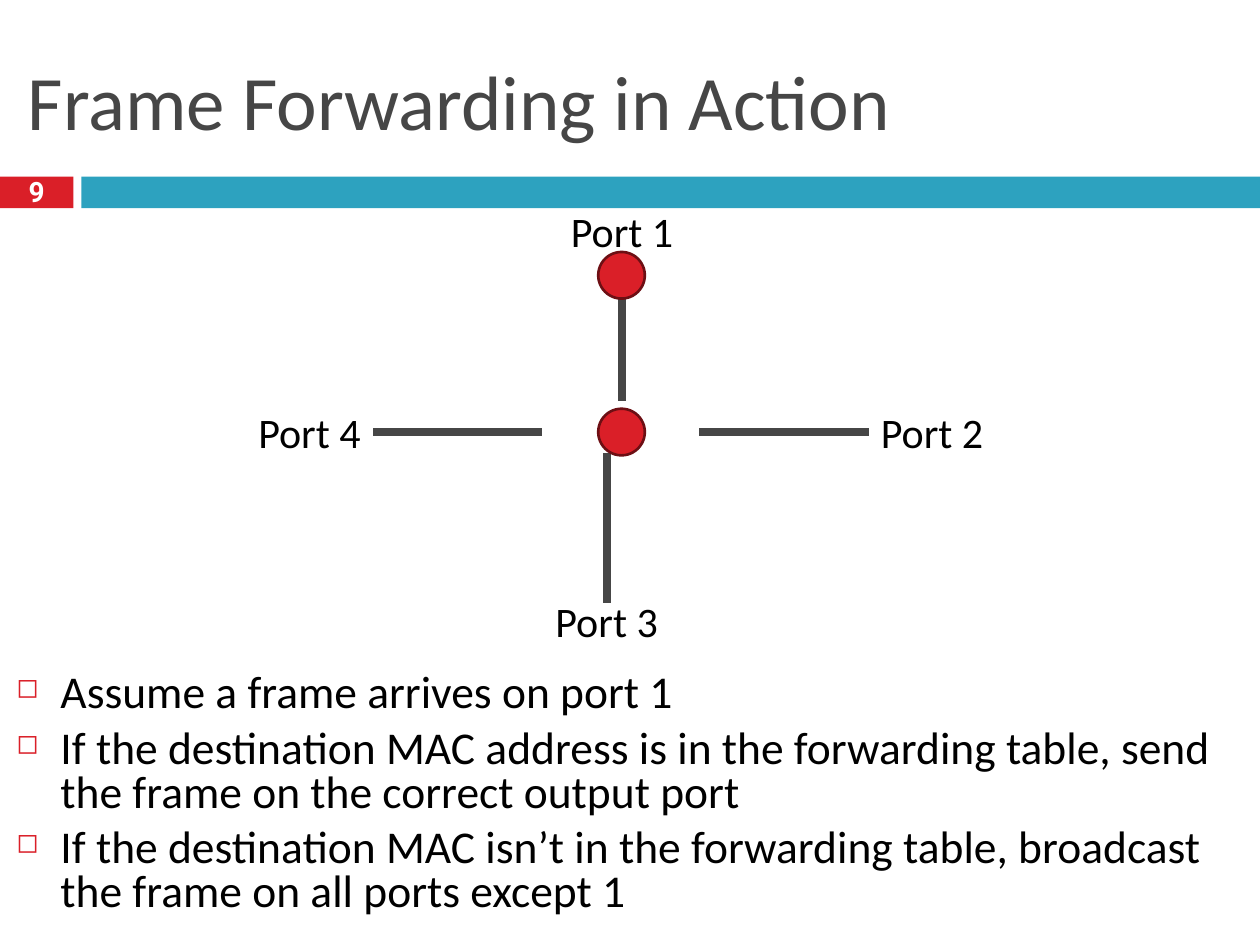
from dataclasses import dataclass

from lxml import etree
from pptx import Presentation
from pptx.dml.color import RGBColor
from pptx.enum.shapes import MSO_CONNECTOR, MSO_SHAPE
from pptx.enum.text import MSO_ANCHOR, MSO_AUTO_SIZE, PP_ALIGN
from pptx.oxml.ns import qn
from pptx.slide import Slide
from pptx.text.text import _Paragraph
from pptx.util import Cm, Pt

STRAIGHT = MSO_CONNECTOR.STRAIGHT
RECTANGLE, OVAL = MSO_SHAPE.RECTANGLE, MSO_SHAPE.OVAL
TOP, MIDDLE = MSO_ANCHOR.TOP, MSO_ANCHOR.MIDDLE
FIXED, GROW = MSO_AUTO_SIZE.NONE, MSO_AUTO_SIZE.SHAPE_TO_FIT_TEXT
LEFT, CENTER = PP_ALIGN.LEFT, PP_ALIGN.CENTER


@dataclass(frozen=True)
class Theme:
    red: str = "DA1F28"
    dark_red: str = "6D0F14"
    teal: str = "2DA2BF"
    gray: str = "464646"
    black: str = "000000"
    white: str = "FFFFFF"
    font: str = "Calibri"
    number_font: str = "Roboto"
    title_size: int = 44
    body_size: int = 26
    label_size: int = 24
    number_size: int = 16
    cable_width: float = 4.5
    outline_width: float = 1.5


@dataclass(frozen=True)
class Box:
    left: float
    top: float
    width: float
    height: float


@dataclass(frozen=True)
class Style:
    size: int
    color: str
    font: str
    bold: bool = False


@dataclass(frozen=True)
class Port:
    name: str
    label_left: float
    label_top: float
    start: tuple[float, float]
    end: tuple[float, float]


THEME = Theme()
TITLE = Style(THEME.title_size, THEME.gray, THEME.font)
BODY = Style(THEME.body_size, THEME.black, THEME.font)
LABEL = Style(THEME.label_size, THEME.black, THEME.font)
NUMBER = Style(THEME.number_size, THEME.white, THEME.number_font, True)

INSET = 0.13
INDENT = 0.89
LABEL_WIDTH, LABEL_HEIGHT = 2.4, 1.22
FRAME_SIZE = 0.94
FRAME_LEFT = 12.06
FRAME_TOPS = (5.08, 8.24)

PORTS = (
    Port("Port 4", 5.04, 8.06, (7.52, 8.71), (10.93, 8.71)),
    Port("Port 3", 11.03, 11.87, (12.24, 12.15), (12.24, 9.14)),
    Port("Port 1", 11.34, 4.01, (12.53, 8.08), (12.53, 5.08)),
    Port("Port 2", 17.59, 8.06, (14.1, 8.71), (17.51, 8.71)),
)
POINTS = (
    "Assume a frame arrives on port 1",
    "If the destination MAC address is in the forwarding table, "
    "send the frame on the correct output port",
    "If the destination MAC isn’t in the forwarding table, "
    "broadcast the frame on all ports except 1",
)


def add_figure(slide: Slide, kind: MSO_SHAPE, box: Box, fill: str, outline: str = "") -> None:
    shape = slide.shapes.add_shape(
        kind, Cm(box.left), Cm(box.top), Cm(box.width), Cm(box.height)
    )
    shape.shadow.inherit = False
    shape.fill.solid()
    shape.fill.fore_color.rgb = RGBColor.from_string(fill)
    if outline:
        shape.line.color.rgb = RGBColor.from_string(outline)
        shape.line.width = Pt(THEME.outline_width)
    else:
        shape.line.fill.background()


def add_cable(slide: Slide, port: Port) -> None:
    cable = slide.shapes.add_connector(
        STRAIGHT, *(Cm(length) for length in port.start + port.end)
    )
    cable.line.color.rgb = RGBColor.from_string(THEME.gray)
    cable.line.width = Pt(THEME.cable_width)
    etree.SubElement(cable._element.spPr, qn("a:effectLst"))


def add_bullet(paragraph: _Paragraph) -> None:
    properties = paragraph._p.get_or_add_pPr()
    properties.set("marL", str(Cm(INDENT)))
    properties.set("indent", str(-Cm(INDENT)))
    color = etree.SubElement(properties, qn("a:buClr"))
    etree.SubElement(color, qn("a:srgbClr"), val=THEME.red)
    etree.SubElement(properties, qn("a:buSzPct"), val="60000")
    etree.SubElement(properties, qn("a:buChar"), char="◻")


def add_text(
    slide: Slide,
    box: Box,
    lines: tuple[str, ...],
    style: Style,
    anchor: MSO_ANCHOR = TOP,
    alignment: PP_ALIGN = LEFT,
    wrap: bool = True,
    fit: MSO_AUTO_SIZE = FIXED,
    spacing: float = 1.0,
    bullets: bool = False,
) -> None:
    shape = slide.shapes.add_textbox(
        Cm(box.left), Cm(box.top), Cm(box.width), Cm(box.height)
    )
    frame = shape.text_frame
    frame.word_wrap = wrap
    frame.auto_size = fit
    frame.vertical_anchor = anchor
    frame.margin_left = frame.margin_right = Cm(INSET)
    frame.margin_top = frame.margin_bottom = Cm(INSET)
    for index, line in enumerate(lines):
        paragraph = frame.add_paragraph() if index else frame.paragraphs[0]
        if bullets:
            add_bullet(paragraph)
        paragraph.alignment = alignment
        paragraph.line_spacing = spacing
        if index:
            paragraph.space_before = Pt(7)
        run = paragraph.add_run()
        run.text = line
        run.font.name = style.font
        run.font.size = Pt(style.size)
        run.font.bold = style.bold
        run.font.color.rgb = RGBColor.from_string(style.color)


def main() -> None:
    presentation = Presentation()
    presentation.slide_width, presentation.slide_height = Cm(25.4), Cm(19.05)
    slide = presentation.slides.add_slide(presentation.slide_layouts[6])

    add_figure(slide, RECTANGLE, Box(0, 3.56, 1.48, 0.64), THEME.red)
    add_figure(slide, RECTANGLE, Box(1.64, 3.56, 23.76, 0.64), THEME.teal)
    add_text(slide, Box(0.43, 0.64, 24.56, 2.74), ("Frame Forwarding in Action",), TITLE, MIDDLE)
    add_text(slide, Box(0.45, 3.48, 0.58, 0.89), ("9",), NUMBER, MIDDLE, CENTER, False, spacing=0.8)
    add_text(slide, Box(0.2, 13.45, 24.59, 5.59), POINTS, BODY, spacing=0.8, bullets=True)

    for port in PORTS:
        add_cable(slide, port)
        label_box = Box(port.label_left, port.label_top, LABEL_WIDTH, LABEL_HEIGHT)
        add_text(slide, label_box, (port.name,), LABEL, TOP, CENTER, False, GROW)
    for top in FRAME_TOPS:
        frame_box = Box(FRAME_LEFT, top, FRAME_SIZE, FRAME_SIZE)
        add_figure(slide, OVAL, frame_box, THEME.red, THEME.dark_red)

    presentation.save("out.pptx")


if __name__ == "__main__":
    main()
